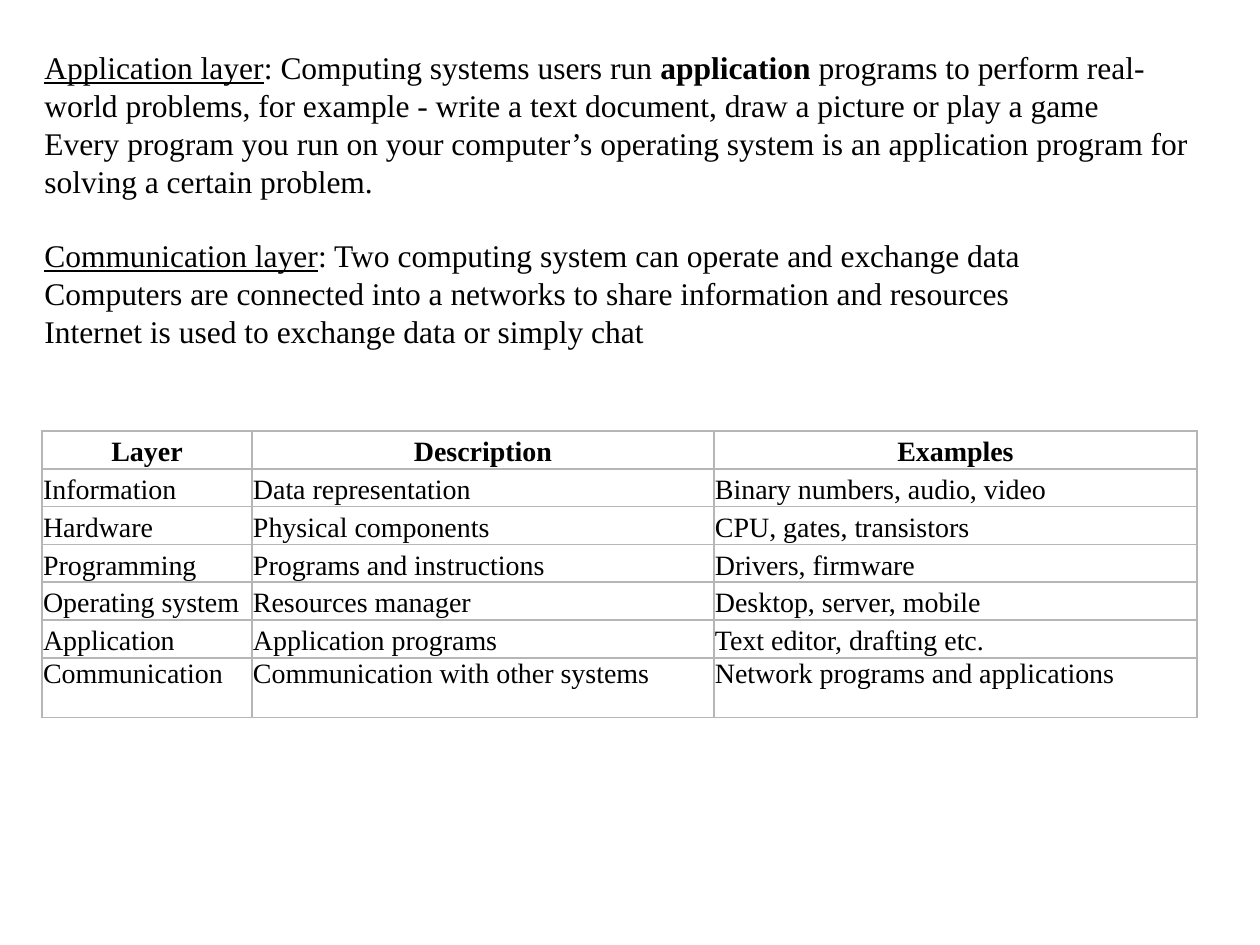
import lxml.etree
import pptx
import pptx.enum.text
import pptx.oxml.ns
import pptx.util

PX = 914400 // 126
COLORS = {"text": "000000", "border": "B6B6B6"}
ALIGN = pptx.enum.text.PP_ALIGN
ANCHOR = pptx.enum.text.MSO_ANCHOR
MARGINS = ("margin_left", "margin_right", "margin_top", "margin_bottom")

# Each paragraph is a list of (text, font format) runs.
APPLICATION = [
    [("Application layer", {"underline": True}),
     (": Computing systems users run ", {}),
     ("application", {"bold": True}),
     (" programs to perform real-world problems, for example - write a text "
      "document, draw a picture or play a game", {})],
    [("Every program you run on your computer’s operating system is an "
      "application program for solving a certain problem.", {})],
]
COMMUNICATION = [
    [("Communication layer", {"underline": True}),
     (": Two computing system can operate and exchange data", {})],
    [("Computers are connected into a networks to share information and "
      "resources", {})],
    [("Internet is used to exchange data or simply chat", {})],
]
LAYERS = [
    ("Layer", "Description", "Examples"),
    ("Information", "Data representation", "Binary numbers, audio, video"),
    ("Hardware", "Physical components", "CPU, gates, transistors"),
    ("Programming", "Programs and instructions", "Drivers, firmware"),
    ("Operating system", "Resources manager", "Desktop, server, mobile"),
    ("Application", "Application programs", "Text editor, drafting etc."),
    ("Communication", "Communication with other systems",
     "Network programs and applications"),
]


def px(n):
    return pptx.util.Emu(n * PX)


def set_attrs(obj, values):
    for name, value in values.items():
        setattr(obj, name, value)


class SlideBuilder:
    """Holds the text style and the current slide."""

    def __init__(self, slide, font="Times New Roman"):
        self.slide = slide
        self.font = font

    def add_run(self, p, text, size, fmt):
        r = p.add_run()
        r.text = text
        set_attrs(r.font, {"name": self.font, "size": pptx.util.Pt(size), **fmt})
        r.font.color.rgb = pptx.dml.color.RGBColor.from_string(COLORS["text"])

    def add_text(self, box, sections, size, spacing, gap):
        """Write sections of paragraphs, parted by a gap in points."""
        tf = self.slide.shapes.add_textbox(*map(px, box)).text_frame
        tf.word_wrap = True
        p = tf.paragraphs[0]
        for i, section in enumerate(sections):
            for j, runs in enumerate(section):
                if i or j:
                    p = tf.add_paragraph()
                p.line_spacing = spacing
                p.space_before = pptx.util.Pt(gap if i and not j else 0)
                for text, fmt in runs:
                    self.add_run(p, text, size, fmt)

    def add_border(self, cell, width):
        tcPr = cell._tc.get_or_add_tcPr()
        qn = pptx.oxml.ns.qn
        for side in ("a:lnL", "a:lnR", "a:lnT", "a:lnB"):
            ln = lxml.etree.SubElement(tcPr, qn(side), w=str(pptx.util.Pt(width)))
            fill = lxml.etree.SubElement(ln, qn("a:solidFill"))
            lxml.etree.SubElement(fill, qn("a:srgbClr"), val=COLORS["border"])

    def add_cell(self, cell, text, size, cell_fmt, p_fmt, font_fmt):
        set_attrs(cell, {**dict.fromkeys(MARGINS, px(1)), **cell_fmt})
        self.add_border(cell, 1)
        cell.fill.background()
        p = cell.text_frame.paragraphs[0]
        set_attrs(p, p_fmt)
        self.add_run(p, text, size, font_fmt)

    def add_table(self, left, top, widths, heights, rows, size):
        table = self.slide.shapes.add_table(
            len(rows), len(widths), px(left), px(top),
            px(sum(widths)), px(sum(heights))).table
        set_attrs(table, {"first_row": False, "horz_banding": False})
        for col, width in zip(table.columns, widths):
            col.width = px(width)
        for i, (row, height) in enumerate(zip(rows, heights)):
            table.rows[i].height = px(height)
            header, last = i == 0, i == len(rows) - 1
            cell_fmt = {"vertical_anchor": ANCHOR.MIDDLE if header else ANCHOR.TOP}
            p_fmt = {"alignment": ALIGN.CENTER if header else ALIGN.LEFT,
                     "line_spacing": 1.0 if last else 1.15}
            if header:
                p_fmt["space_after"] = pptx.util.Pt(10)
            for j, text in enumerate(row):
                self.add_cell(table.cell(i, j), text, size, cell_fmt, p_fmt,
                              {"bold": header})


def main():
    prs = pptx.Presentation()
    set_attrs(prs, {"slide_width": px(1260), "slide_height": px(945)})
    s = SlideBuilder(prs.slides.add_slide(prs.slide_layouts[6]))
    s.add_table(42, 431, (210, 462, 483), (37,) * 6 + (60,), LAYERS, 16)
    s.add_text((32, 42, 1187, 318), (APPLICATION, COMMUNICATION), 18, 1.0, 21)
    prs.save("out.pptx")


if __name__ == "__main__":
    main()
